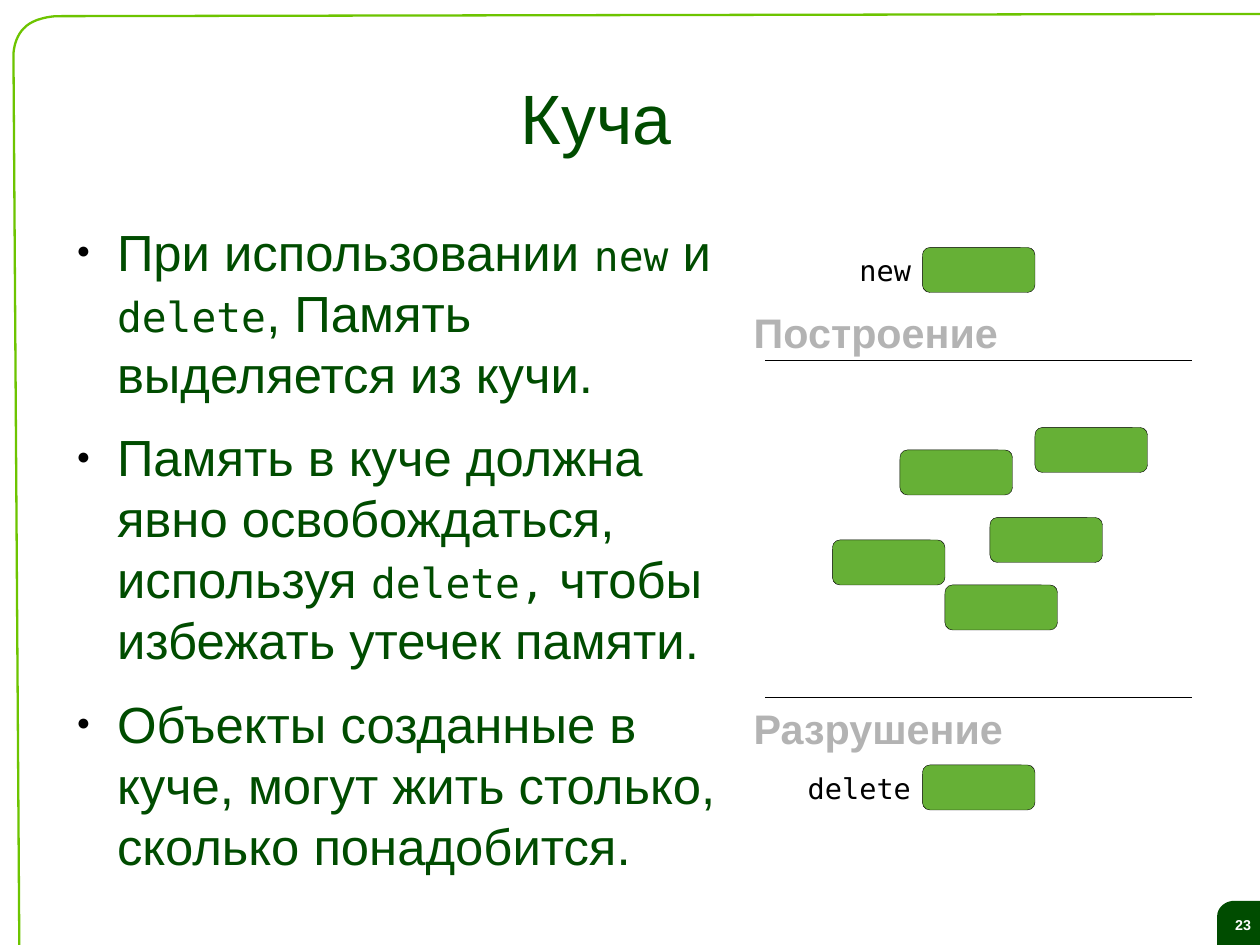
"""Build the slide about heap memory."""
import lxml.etree
import pptx
import pptx.dml.color
import pptx.enum.shapes
import pptx.enum.text
import pptx.oxml.ns
import pptx.util

Cm, Pt = pptx.util.Cm, pptx.util.Pt
qn = pptx.oxml.ns.qn
SHAPE = pptx.enum.shapes.MSO_SHAPE
LINE = pptx.enum.shapes.MSO_CONNECTOR.STRAIGHT
ALIGN = pptx.enum.text.PP_ALIGN
ANCHOR = pptx.enum.text.MSO_ANCHOR
COLORS = {"dark": "004C00", "frame": "6DC400", "block": "66B036",
          "gray": "B3B3B3", "black": "000000", "white": "FFFFFF"}
RGB = {name: pptx.dml.color.RGBColor.from_string(code) for name, code in COLORS.items()}
SANS, MONO = "Arial", "DejaVu Sans Mono"
THIN = Pt(0.25)


def style(run, face, size, color, bold=False):
    run.font.name, run.font.size, run.font.bold = face, Pt(size), bold
    run.font.color.rgb = RGB[color]


def curve(a, b, c, d, steps=12):
    points = []
    for i in range(1, steps + 1):
        t = i / steps
        points.append(tuple((1 - t) ** 3 * p + 3 * (1 - t) ** 2 * t * q
                            + 3 * (1 - t) * t ** 2 * r + t ** 3 * s
                            for p, q, r, s in zip(a, b, c, d)))
    return points


deck = pptx.Presentation()
deck.slide_width, deck.slide_height = Cm(28), Cm(21)
slide = deck.slides.add_slide(deck.slide_layouts[1])
shapes = slide.shapes

edge = [(28, 0.31), (1.27, 0.36)]
edge += curve((1.27, 0.36), (1.24, 0.36), (0.76, 0.38), (0.53, 0.63))
edge += curve((0.53, 0.63), (0.3, 0.86), (0.3, 1.22), (0.3, 1.22))
edge += [(0.43, 21)]
corner = [(27.43, 20.02), (28, 20.02), (28, 21), (27.05, 21), (27.05, 20.35)]
corner += curve((27.05, 20.35), (27.05, 20.2), (27.2, 20.02), (27.43, 20.02))
forms = []
for points, close in ((edge, False), (corner, True)):
    spots = [(Cm(x), Cm(y)) for x, y in points]
    draft = shapes.build_freeform(*spots[0])
    draft.add_line_segments(spots[1:], close=close)
    form = draft.convert_to_shape()
    form.shadow.inherit = False
    forms.append(form)
frame, badge = forms
frame.fill.background()
frame.line.color.rgb = RGB["frame"]
frame.line.width = Pt(1.45)
badge.fill.solid()
badge.fill.fore_color.rgb = RGB["dark"]
badge.line.fill.background()
text = badge.text_frame
text.margin_left, text.margin_top = Cm(0.2), Cm(0.08)
text.margin_right = text.margin_bottom = 0
text.vertical_anchor = ANCHOR.MIDDLE
text.text = "23"
text.paragraphs[0].alignment = ALIGN.CENTER
style(text.paragraphs[0].runs[0], SANS, 9, "white", True)

title, body = shapes.title, slide.placeholders[1]
for holder, place, anchor in ((title, (4, 0.97, 18.5, 3.25), ANCHOR.MIDDLE),
                              (body, (1.4, 4.9, 14.6, 13.67), ANCHOR.TOP)):
    holder.left, holder.top, holder.width, holder.height = map(Cm, place)
    text = holder.text_frame
    text.margin_left = text.margin_top = text.margin_right = text.margin_bottom = 0
    text.vertical_anchor = anchor
    text.word_wrap = True
    text.auto_size = pptx.enum.text.MSO_AUTO_SIZE.NONE
title.text_frame.text = "Куча"
title.text_frame.paragraphs[0].alignment = ALIGN.CENTER
style(title.text_frame.paragraphs[0].runs[0], SANS, 44, "dark")

points = [
    [("При использовании ", SANS), ("new", MONO), (" и ", SANS), ("delete", MONO),
     (", Память выделяется из кучи.", SANS)],
    [("Память в куче должна явно освобождаться, используя ", SANS), ("delete,", MONO),
     (" чтобы избежать утечек памяти.", SANS)],
    [("Объекты созданные в куче, могут жить столько, сколько понадобится.", SANS)],
]
for i, parts in enumerate(points):
    para = body.text_frame.add_paragraph() if i else body.text_frame.paragraphs[0]
    props = para._p.get_or_add_pPr()
    props.set("marL", str(Cm(1.2)))
    props.set("indent", str(-Cm(0.9)))
    tint = lxml.etree.SubElement(props, qn("a:buClr"))
    lxml.etree.SubElement(tint, qn("a:srgbClr"), val=COLORS["black"])
    lxml.etree.SubElement(props, qn("a:buSzPct"), val="45000")
    lxml.etree.SubElement(props, qn("a:buFont"), typeface=SANS)
    lxml.etree.SubElement(props, qn("a:buChar"), char="●")
    para.line_spacing = 1.0
    para.space_before, para.space_after = Pt(0), Pt(14.2)
    for words, face in parts:
        run = para.add_run()
        run.text = words
        style(run, face, 32 if face == SANS else 26, "dark")

for x, y in ((20.5, 5.5), (20.5, 17), (22, 11.5), (20, 10), (21, 13), (18.5, 12), (23, 9.5)):
    block = shapes.add_shape(SHAPE.ROUNDED_RECTANGLE, Cm(x), Cm(y), Cm(2.5), Cm(1))
    block.shadow.inherit = False
    block.fill.solid()
    block.fill.fore_color.rgb = RGB["block"]
    block.line.color.rgb = RGB["black"]
    block.line.width = THIN

for y in (8, 15.5):
    rule = shapes.add_connector(LINE, Cm(17), Cm(y), Cm(26.5), Cm(y))
    rule.line.color.rgb = RGB["black"]
    rule.line.width = THIN
    lxml.etree.SubElement(rule._element.spPr, qn("a:effectLst"))

for words, x, y, wide, high, face, size, color in (
        ("new", 18.85, 5.5, 1.65, 1, MONO, 18, "black"),
        ("delete", 17.7, 17, 2.8, 1, MONO, 18, "black"),
        ("Построение", 16.5, 6.7, 5.95, 1.27, SANS, 26, "gray"),
        ("Разрушение", 16.5, 15.5, 6.05, 1.27, SANS, 26, "gray")):
    label = shapes.add_textbox(Cm(x), Cm(y), Cm(wide), Cm(high))
    label.text_frame.word_wrap = False
    label.text_frame.text = words
    style(label.text_frame.paragraphs[0].runs[0], face, size, color, face == SANS)

deck.save("out.pptx")
